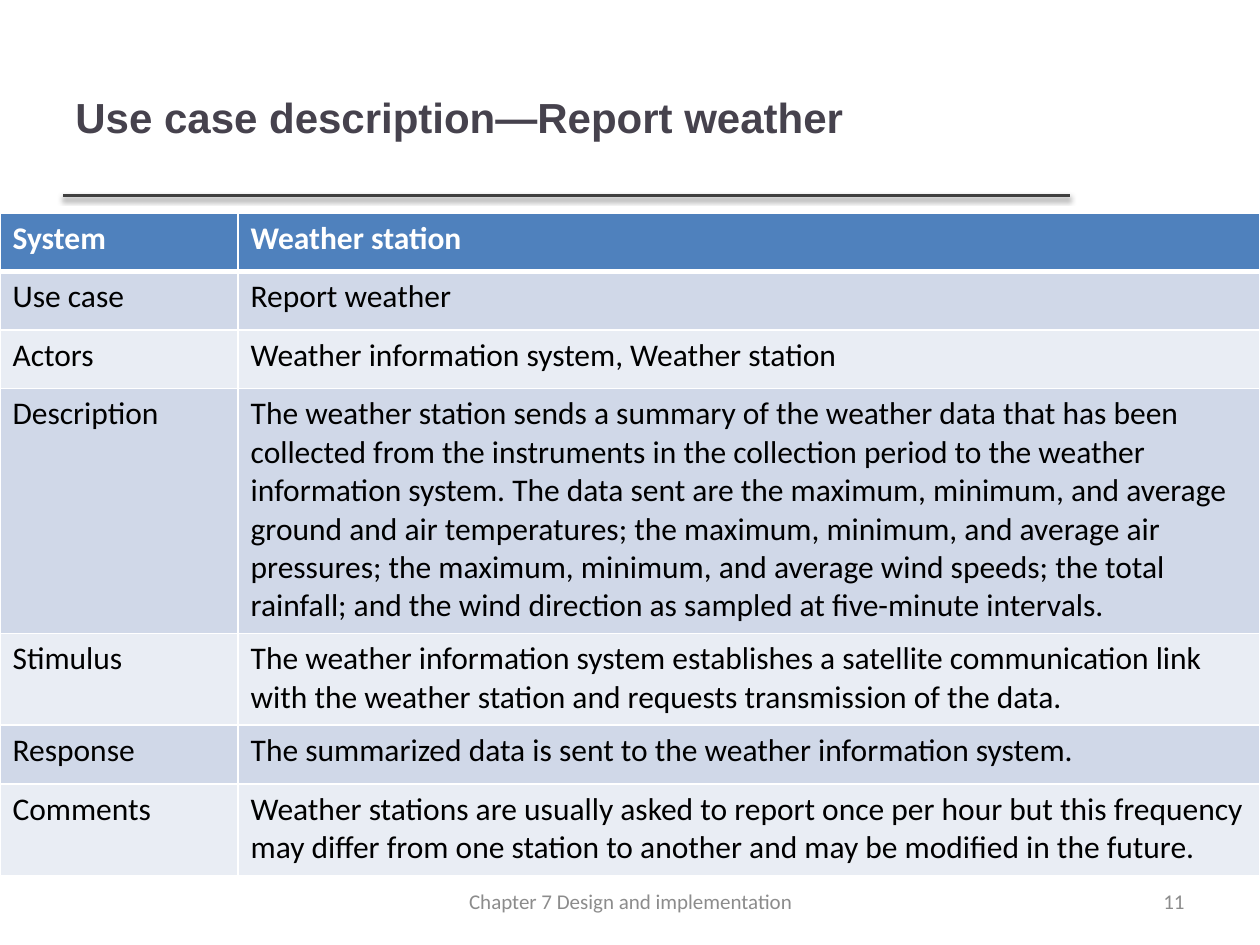
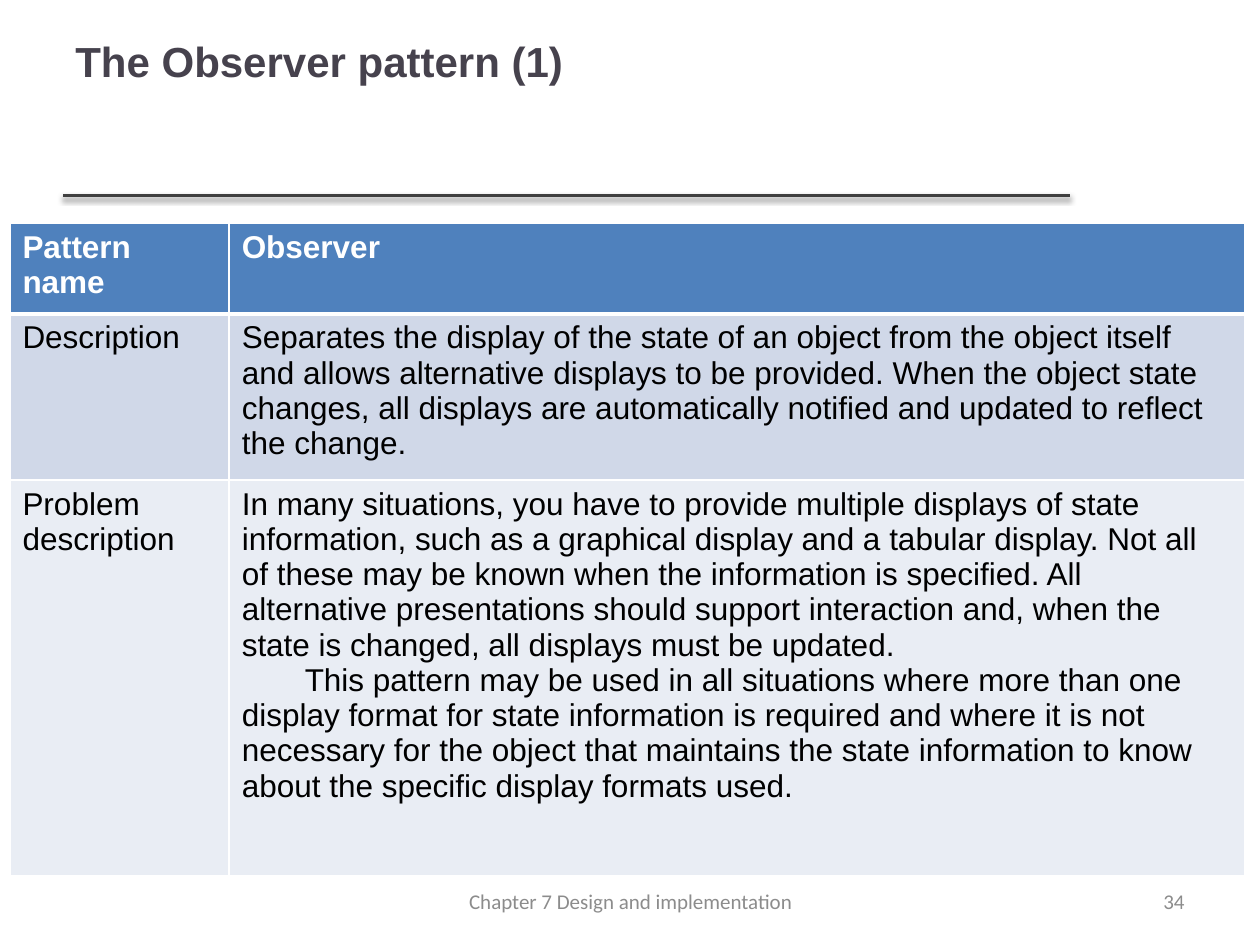
from lxml import etree
from pptx import Presentation
from pptx.dml.color import RGBColor
from pptx.enum import shapes, text
from pptx.oxml import ns
from pptx.util import Cm, Pt

TITLE_COLOR, RULE_COLOR, FOOTER_COLOR = "46424D", "404040", "8C8C8C"
HEADER_FILL, BAND_FILLS = "4F81BD", ("E9EDF4", "D0D8E8")
WHITE, BLACK = "FFFFFF", "000000"
MARGIN = 1.27
CHAPTER = "Chapter 7 Design and implementation"

USE_CASE = [
    ("System", "Weather station"),
    ("Use case", "Report weather"),
    ("Actors", "Weather information system, Weather station"),
    ("Description",
     "The weather station sends a summary of the weather data that has been collected from "
     "the instruments in the collection period to the weather information system. The data "
     "sent are the maximum, minimum, and average ground and air temperatures; the maximum, "
     "minimum, and average air pressures; the maximum, minimum, and average wind speeds; the "
     "total rainfall; and the wind direction as sampled at five-minute intervals."),
    ("Stimulus",
     "The weather information system establishes a satellite communication link with the "
     "weather station and requests transmission of the data."),
    ("Response", "The summarized data is sent to the weather information system."),
    ("Comments",
     "Weather stations are usually asked to report once per hour but this frequency may "
     "differ from one station to another and may be modified in the future."),
]
OBSERVER = [
    ("Pattern name", "Observer"),
    ("Description",
     "Separates the display of the state of an object from the object itself and allows "
     "alternative displays to be provided. When the object state changes, all displays are "
     "automatically notified and updated to reflect the change."),
    ("Problem description",
     "In many situations, you have to provide multiple displays of state information, such "
     "as a graphical display and a tabular display. Not all of these may be known when the "
     "information is specified. All alternative presentations should support interaction "
     "and, when the state is changed, all displays must be updated.\n"
     "This pattern may be used in all situations where more than one display format for "
     "state information is required and where it is not necessary for the object that "
     "maintains the state information to know about the specific display formats used."),
]


def color(value):
    """Turn a hex string into a colour."""
    return RGBColor.from_string(value)


def add_element(parent, tag, **attributes):
    """Append a DrawingML element to its parent."""
    return etree.SubElement(parent, ns.qn(tag), {k: str(v) for k, v in attributes.items()})


def format_text(frame, font, size, ink, bold=False, align=text.PP_ALIGN.LEFT):
    """Give every run of a text frame the same look."""
    for paragraph in frame.paragraphs:
        paragraph.alignment = align
        for run in paragraph.runs:
            run.font.name, run.font.size, run.font.bold = font, Pt(size), bold
            run.font.color.rgb = color(ink)


def add_label(slide, box, words, *look, **options):
    """Add vertically centred text in a box."""
    frame = slide.shapes.add_textbox(*map(Cm, box)).text_frame
    frame.word_wrap = True
    frame.vertical_anchor = text.MSO_ANCHOR.MIDDLE
    frame.text = words
    format_text(frame, *look, **options)


def add_rule(slide, left, top, width):
    """Draw the shadowed line below the title."""
    rule = slide.shapes.add_connector(
        shapes.MSO_CONNECTOR.STRAIGHT, Cm(left), Cm(top), Cm(left + width), Cm(top))
    rule.line.color.rgb, rule.line.width = color(RULE_COLOR), Pt(2)
    effects = add_element(rule.line._get_or_add_ln().getparent(), "a:effectLst")
    shadow = add_element(effects, "a:outerShdw", blurRad=Pt(3.1), dist=Pt(1.6),
                         dir=90 * 60000, rotWithShape=0)
    shade = add_element(shadow, "a:srgbClr", val=BLACK)
    add_element(shade, "a:alpha", val=38000)


def add_footer(slide, top, number):
    """Add the chapter name and the slide number."""
    add_label(slide, (8.69, top, 8.05, 1.02), CHAPTER, "Calibri", 12, FOOTER_COLOR,
              align=text.PP_ALIGN.CENTER)
    add_label(slide, (18.21, top, 5.92, 1.02), str(number), "Calibri", 12, FOOTER_COLOR,
              align=text.PP_ALIGN.RIGHT)


def style_cell(cell, row, font):
    """Set borders, fill and text by the row of the cell."""
    properties = cell._tc.get_or_add_tcPr()
    widths = {"L": 1, "R": 1, "T": 3 if row == 1 else 1, "B": 3 if row == 0 else 1}
    for side, width in widths.items():
        border = add_element(properties, f"a:ln{side}", w=Pt(width))
        add_element(add_element(border, "a:solidFill"), "a:srgbClr", val=WHITE)
    header = row == 0
    cell.fill.solid()
    cell.fill.fore_color.rgb = color(HEADER_FILL if header else BAND_FILLS[row % 2])
    format_text(cell.text_frame, font, 18, WHITE if header else BLACK, bold=header)
    for paragraph in cell.text_frame.paragraphs[1:]:
        paragraph._p.get_or_add_pPr().set("indent", str(Cm(1.27)))


def add_description_table(slide, left, top, widths, heights, rows, font):
    """Add a two-column table with a header and banded rows."""
    table = slide.shapes.add_table(
        len(rows), len(widths), Cm(left), Cm(top), Cm(sum(widths)), Cm(sum(heights))).table
    for column, width in zip(table.columns, widths):
        column.width = Cm(width)
    for index, (height, entries) in enumerate(zip(heights, rows)):
        table.rows[index].height = Cm(height)
        for position, words in enumerate(entries):
            cell = table.cell(index, position)
            cell.text_frame.text = words
            style_cell(cell, index, font)


def add_table_slide(presentation, title, title_top, title_width, number, **table):
    """Add a slide with title, rule, table and footer."""
    slide = presentation.slides.add_slide(presentation.slide_layouts[6])
    add_rule(slide, MARGIN, 3.94, 20.29)
    add_label(slide, (MARGIN, title_top, title_width, 3.18), title,
              "Arial", 24, TITLE_COLOR, bold=True)
    add_description_table(slide, **table)
    add_footer(slide, 17.65, number)


def main():
    """Build and save both slides."""
    presentation = Presentation()
    presentation.slide_width, presentation.slide_height = Cm(25.4), Cm(19.05)
    add_table_slide(
        presentation, "Use case description—Report weather", 0.76, 20.27, 11,
        left=0, top=4.29, widths=(4.8, 20.6),
        heights=(1.18, 1.18, 1.18, 4.94, 1.85, 1.18, 1.85), rows=USE_CASE, font="Calibri")
    add_table_slide(
        presentation, "The Observer pattern (1)", -0.36, 22.86, 34,
        left=0.2, top=4.5, widths=(4.42, 20.47),
        heights=(1.83, 3.35, 7.98), rows=OBSERVER, font="Arial")
    presentation.save("out.pptx")


if __name__ == "__main__":
    main()
